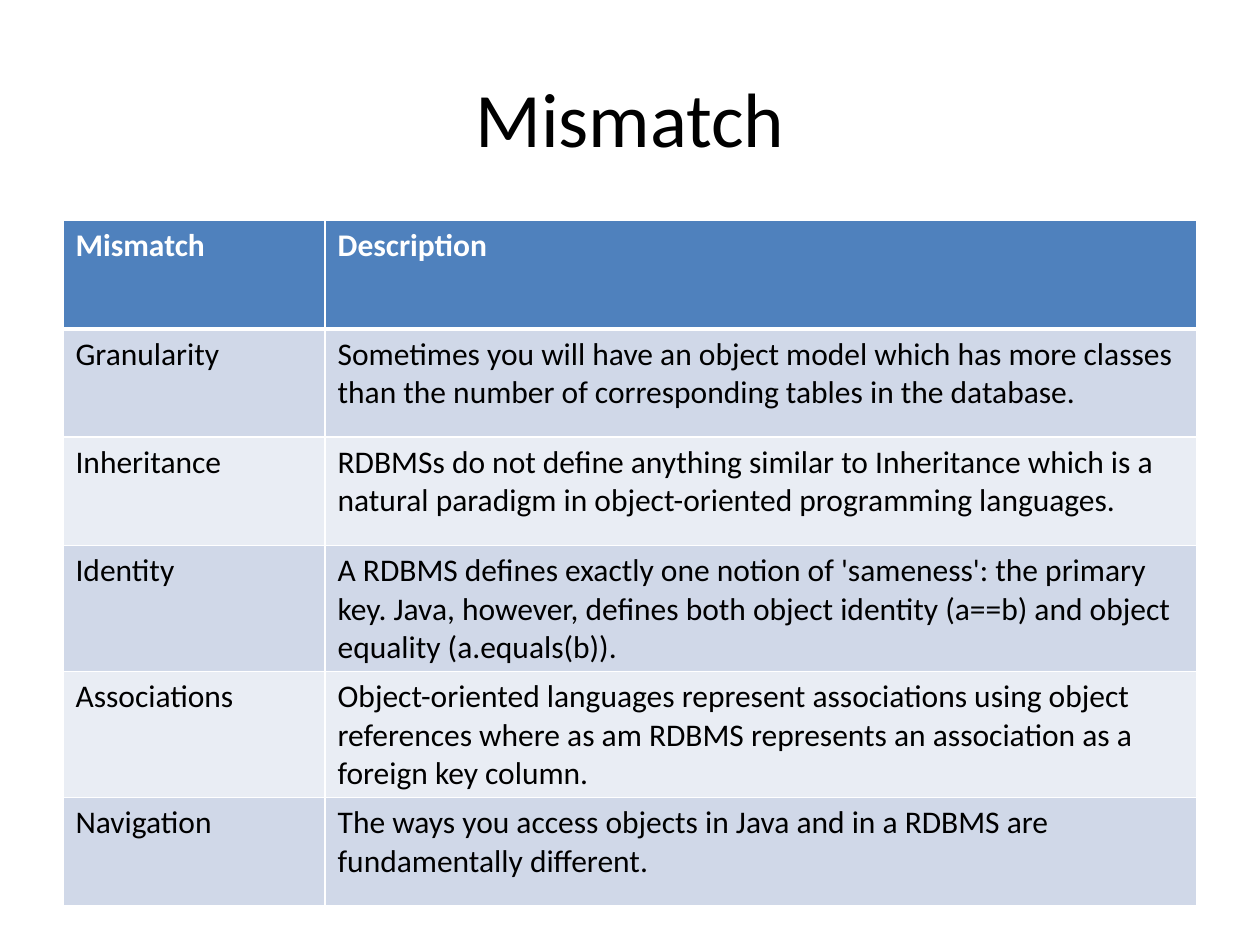
from dataclasses import dataclass

from lxml.etree import SubElement
from pptx import Presentation
from pptx.dml.color import RGBColor
from pptx.enum.text import MSO_ANCHOR, PP_ALIGN
from pptx.oxml.ns import qn
from pptx.util import Emu, Pt

SCALE = 9144  # EMU in one px, 100 px to the inch


@dataclass(frozen=True)
class Theme:
    font: str = "Calibri"
    title: int = 44
    body: int = 18
    ink: str = "000000"
    paper: str = "FFFFFF"
    head: str = "4F81BD"
    bands: tuple = ("D0D8E8", "E9EDF4")
    thin: int = 1
    thick: int = 3


THEME = Theme()

ROWS = [
    ("Mismatch", "Description"),
    ("Granularity", "Sometimes you will have an object model which has more classes "
     "than the number of corresponding tables in the database."),
    ("Inheritance", "RDBMSs do not define anything similar to Inheritance which is a "
     "natural paradigm in object-oriented programming languages."),
    ("Identity", "A RDBMS defines exactly one notion of 'sameness': the primary key. "
     "Java, however, defines both object identity (a==b) and object equality "
     "(a.equals(b))."),
    ("Associations", "Object-oriented languages represent associations using object "
     "references where as am RDBMS represents an association as a foreign key column."),
    ("Navigation", "The ways you access objects in Java and in a RDBMS are "
     "fundamentally different."),
]


def px(n):
    return Emu(n * SCALE)


def write(frame, text, size=THEME.body, color=THEME.ink, bold=False,
          align=PP_ALIGN.LEFT, anchor=MSO_ANCHOR.TOP):
    frame.word_wrap = True
    frame.vertical_anchor = anchor
    para = frame.paragraphs[0]
    para.alignment = align
    run = para.add_run()
    run.text = text
    font = run.font
    font.name, font.size, font.bold = THEME.font, Pt(size), bold
    font.color.rgb = RGBColor.from_string(color)


def add_title(slide, text):
    box = slide.shapes.add_textbox(px(50), px(30), px(900), px(125))
    write(box.text_frame, text, size=THEME.title, align=PP_ALIGN.CENTER,
          anchor=MSO_ANCHOR.MIDDLE)


def edge(cell, top, base):
    """Draw the four cell borders; they must precede the fill."""
    props = cell._tc.get_or_add_tcPr()
    widths = {"L": THEME.thin, "R": THEME.thin, "T": top, "B": base}
    for side, width in widths.items():
        line = SubElement(props, qn(f"a:ln{side}"), w=str(Pt(width)))
        fill = SubElement(line, qn("a:solidFill"))
        SubElement(fill, qn("a:srgbClr"), val=THEME.paper)


def add_grid(slide, rows, widths, height):
    frame = slide.shapes.add_table(len(rows), len(widths), px(50), px(175),
                                   px(sum(widths)), px(height * len(rows)))
    table = frame.table
    table.first_row = table.horz_banding = False
    for col, width in zip(table.columns, widths):
        col.width = px(width)
    for i, row in enumerate(rows):
        table.rows[i].height = px(height)
        head = i == 0
        shade = THEME.head if head else THEME.bands[(i - 1) % 2]
        for j, text in enumerate(row):
            cell = table.cell(i, j)
            write(cell.text_frame, text, bold=head,
                  color=THEME.paper if head else THEME.ink)
            # The heavy rule is shared by the header and the row below
            edge(cell, top=THEME.thick if i == 1 else THEME.thin,
                 base=THEME.thick if head else THEME.thin)
            cell.fill.solid()
            cell.fill.fore_color.rgb = RGBColor.from_string(shade)


def main():
    deck = Presentation()
    deck.slide_width, deck.slide_height = px(1000), px(750)
    slide = deck.slides.add_slide(deck.slide_layouts[6])
    # Heading
    add_title(slide, "Mismatch")
    # Table of mismatches
    add_grid(slide, ROWS, widths=(208, 692), height=86)
    deck.save("out.pptx")


if __name__ == "__main__":
    main()
